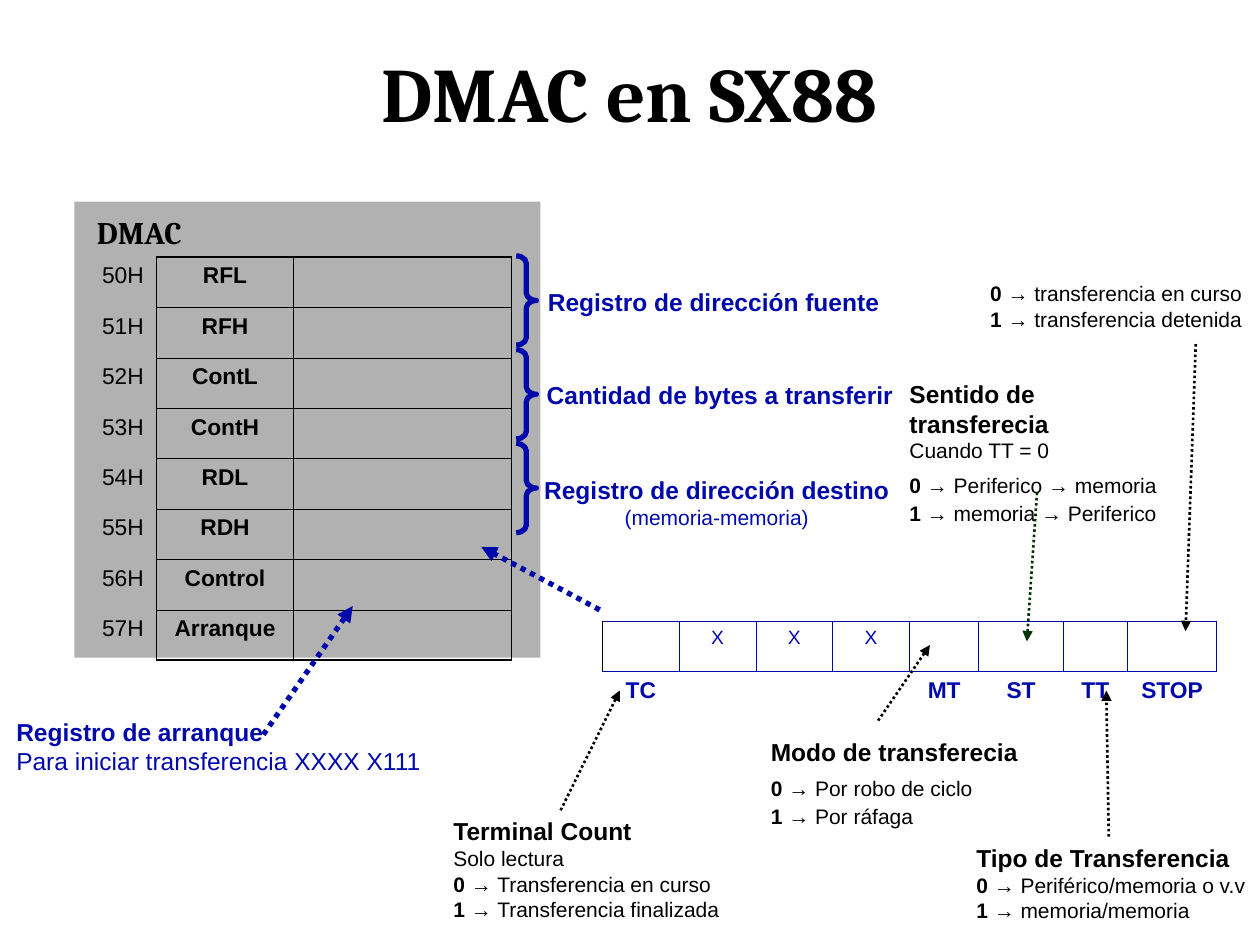
from lxml.etree import SubElement
from pptx import Presentation
from pptx.dml.color import RGBColor
from pptx.enum.dml import MSO_LINE
from pptx.enum.shapes import MSO_CONNECTOR, MSO_SHAPE
from pptx.enum.text import MSO_ANCHOR, MSO_AUTO_SIZE, PP_ALIGN
from pptx.oxml.ns import qn
from pptx.util import Pt

HUES = {"ink": "000000", "blue": "0109AB", "green": "003300", "gray": "808080"}
NO_STYLE = "{2D5ABB26-0587-4C30-8999-92F81FD0307C}"
LEFT, MID, RIGHT = PP_ALIGN.LEFT, PP_ALIGN.CENTER, PP_ALIGN.RIGHT
THIN, THICK = 0.45, 1.08

# Kind of line: size, bold
KINDS = {"head": (14, True), "wide": (14, False), "text": (12, False), "code": (12, False)}

REGS = ["RFL", "RFH", "ContL", "ContH", "RDL", "RDH", "Control", "Arranque"]
BITS = [("", "TC"), ("X", ""), ("X", ""), ("X", ""),
        ("", "MT"), ("", "ST"), ("", "TT"), ("", "STOP")]

# Box, colour, lines (kind, text, space before), further options
NOTES = [
    ((306, 160.6, 203.8, 24.5), "blue", [("head", "Registro de dirección fuente", 0)], {}),
    ((305.3, 213.8, 212.4, 24.5), "blue", [("head", "Cantidad de bytes a transferir", 0)], {}),
    ((303.8, 267.8, 211.7, 38.9), "blue",
     [("head", "Registro de dirección destino", 0), ("text", "(memoria-memoria)", 0)],
     {"align": MID}),
    ((2.2, 406.1, 251.3, 41), "blue",
     [("head", "Registro de arranque", 0), ("wide", "Para iniciar transferencia XXXX X111", 0)],
     {"ends": (148.3, 13.7, 199.4, -59.8), "tint": "blue", "width": 3}),
    ((558.7, 157, 158.4, 36), "ink",
     [("code", "0 → transferencia en curso", 0), ("code", "1 → transferencia detenida", 0)],
     {"ends": (124.6, 39.6, 118.8, 203.7)}),
    ((512.6, 213.1, 169.2, 74.9), "ink",
     [("head", "Sentido de transferecia", 0), ("text", "Cuando TT = 0", 0),
      ("code", "0 → Periferico → memoria", 5.5), ("code", "1 → memoria → Periferico", 1.5)],
     {"ends": (80, 68.4, 74.2, 153.4), "tint": "green"}),
    ((433.4, 417.6, 155.5, 60.5), "ink",
     [("head", "Modo de transferecia", 0), ("code", "0 → Por robo de ciclo", 5.5),
      ("code", "1 → Por ráfaga", 1.5)],
     {"ends": (68.4, -5.8, 98, -49)}),
    ((252, 463, 169.9, 67.7), "ink",
     [("head", "Terminal Count", 0), ("text", "Solo lectura", 0),
      ("code", "0 → Transferencia en curso", 0), ("code", "1 → Transferencia finalizada", 0)],
     {"ends": (68.4, 0, 102.2, -68.4), "wrap": True}),
    ((550.8, 478.1, 169.9, 53.3), "ink",
     [("head", "Tipo de Transferencia", 0), ("code", "0 → Periférico/memoria o v.v", 0),
      ("code", "1 → memoria/memoria", 0)],
     {"ends": (82.8, 0, 81.4, -83.5), "wrap": True}),
]


def hue(name):
    return RGBColor.from_string(HUES[name])


def pts(*nums):
    return [Pt(num) for num in nums]


def style(font, size, bold=False, tint="ink", face="Arial"):
    for key, val in {"name": face, "size": Pt(size), "bold": bold}.items():
        setattr(font, key, val)
    font.color.rgb = hue(tint)


def add_run(para, text, *form, **more):
    run = para.add_run()
    run.text = text
    style(run.font, *form, **more)


def add_box(slide, box, wrap=True):
    frame = slide.shapes.add_textbox(*pts(*box)).text_frame
    frame.word_wrap = wrap
    frame.auto_size = MSO_AUTO_SIZE.SHAPE_TO_FIT_TEXT
    return frame


def add_head(slide, box, text, size, align=LEFT):
    """Place one bold Cambria line."""
    frame = add_box(slide, box)
    frame.vertical_anchor = MSO_ANCHOR.MIDDLE
    para = frame.paragraphs[0]
    para.alignment = align
    add_run(para, text, size, True, face="Cambria")


def add_arrow(slide, ends, tint="ink", width=1.5):
    link = slide.shapes.add_connector(MSO_CONNECTOR.STRAIGHT, *pts(*ends))
    line = link.line
    line.color.rgb = hue(tint)
    line.width = Pt(width)
    line.dash_style = MSO_LINE.ROUND_DOT
    SubElement(line._get_or_add_ln(), qn("a:tailEnd"), type="triangle")
    SubElement(link._element.spPr, qn("a:effectLst"))


def add_grid(slide, left, top, cols, rows):
    """Add a table with no style and the given column and row sizes."""
    spot = pts(left, top, sum(cols), sum(rows))
    grid = slide.shapes.add_table(len(rows), len(cols), *spot).table
    grid.first_row = grid.horz_banding = False
    grid._tbl.tblPr.find(qn("a:tableStyleId")).text = NO_STYLE
    for col, size in zip(grid.columns, cols):
        col.width = Pt(size)
    for row, size in zip(grid.rows, rows):
        row.height = Pt(size)
    return grid


def fill_cell(cell, text, size, align=MID, bold=False, tint="ink", gap=3.3):
    para = cell.text_frame.paragraphs[0]
    para.alignment = align
    para.space_before = Pt(gap)
    style(para.font, size, bold, tint)
    if text:
        add_run(para, text, size, bold, tint)
    cell.fill.background()


def edge_cell(cell, **edges):
    """Draw borders, each given as side=(colour, width), in the order L, R, T, B."""
    props = cell._tc.get_or_add_tcPr()
    for spot, (side, (tint, width)) in enumerate(edges.items()):
        line = SubElement(props, qn("a:ln" + side), w=str(Pt(width)))
        fill = SubElement(line, qn("a:solidFill"))
        SubElement(fill, qn("a:srgbClr"), val=HUES[tint])
        props.insert(spot, line)


def add_dmac(slide, box):
    left, top, wide, high = box
    back = slide.shapes.add_shape(MSO_SHAPE.RECTANGLE, *pts(*box))
    back.shadow.inherit = False
    back.line.fill.background()
    back.fill.solid()
    back.fill.fore_color.rgb = hue("gray")
    shade = back._element.spPr.find(qn("a:solidFill"))[0]
    SubElement(shade, qn("a:alpha"), val="61000")
    add_head(slide, (left + 5.8, top + 2.9, wide - 17.3, 28.8), "DMAC", 18)

    last = len(REGS) - 1
    thin = ("ink", THIN)
    grid = add_grid(slide, left, top + 31.7, [46.8, 78.5, 124.6], [28.8] * len(REGS))
    for row, name in enumerate(REGS):
        code, label, value = (grid.cell(row, col) for col in range(3))
        fill_cell(code, f"{50 + row}H", 13, RIGHT)
        fill_cell(label, name, 13, bold=True)
        fill_cell(value, "", 13)
        rim = {"T": ("ink", THIN if row else THICK),
               "B": ("ink", THICK if row == last else THIN)}
        edge_cell(code, R=thin)
        edge_cell(label, L=thin, R=thin, **rim)
        edge_cell(value, L=thin, R=("ink", THICK), **rim)

    for pair in range(3):
        spot = pts(left + 252.5, top + 31 + 53.6 * pair, 11.5, 51)
        brace = slide.shapes.add_shape(MSO_SHAPE.RIGHT_BRACE, *spot)
        brace.adjustments[0] = 0.37
        brace.shadow.inherit = False
        brace.fill.background()
        brace.line.color.rgb = hue("blue")
        brace.line.width = Pt(3)


def add_bits(slide, left, top):
    """Place the bits of the control register and their names."""
    cols = [43.9] * 4 + [39.6, 48.2, 36.7, 51.1]
    grid = add_grid(slide, left, top, cols, [28.8, 23])
    thin = ("blue", THIN)
    for col, (mark, name) in enumerate(BITS):
        bit, label = grid.cell(0, col), grid.cell(1, col)
        fill_cell(bit, mark, 11, tint="blue", gap=2.8)
        fill_cell(label, name, 13, bold=True, tint="blue")
        label.margin_left = label.margin_right = Pt(3)
        edge_cell(bit, L=thin if col else ("ink", THIN), R=thin, T=thin, B=thin)
        edge_cell(label, T=thin)
    add_arrow(slide, (left - 1.5, top - 6.5, left - 69.2, top - 42.5), "blue", 3)


def add_note(slide, box, tone, lines, align=LEFT, wrap=False, ends=None, **form):
    """Place a note and its arrow, whose ends are relative to the note."""
    frame = add_box(slide, box, wrap)
    for row, (kind, text, gap) in enumerate(lines):
        para = frame.add_paragraph() if row else frame.paragraphs[0]
        para.alignment = align
        para.space_before = Pt(gap)
        size, bold = KINDS[kind]
        parts = [(text[:2], True), (text[2:], False)] if kind == "code" else [(text, bold)]
        for part, heavy in parts:
            add_run(para, part, size, heavy, tone)
    if ends:
        add_arrow(slide, [num + base for num, base in zip(ends, box[:2] * 2)], **form)


deck = Presentation()
deck.slide_width, deck.slide_height = pts(720, 540)
page = deck.slides.add_slide(deck.slide_layouts[6])
add_head(page, (36, 21.6, 648, 61.2), "DMAC en SX88", 44, MID)
add_dmac(page, (42.5, 115.2, 266.4, 260.6))
add_bits(page, 344.2, 355)
for area, tone, lines, form in NOTES:
    add_note(page, area, tone, lines, **form)
deck.save("out.pptx")
